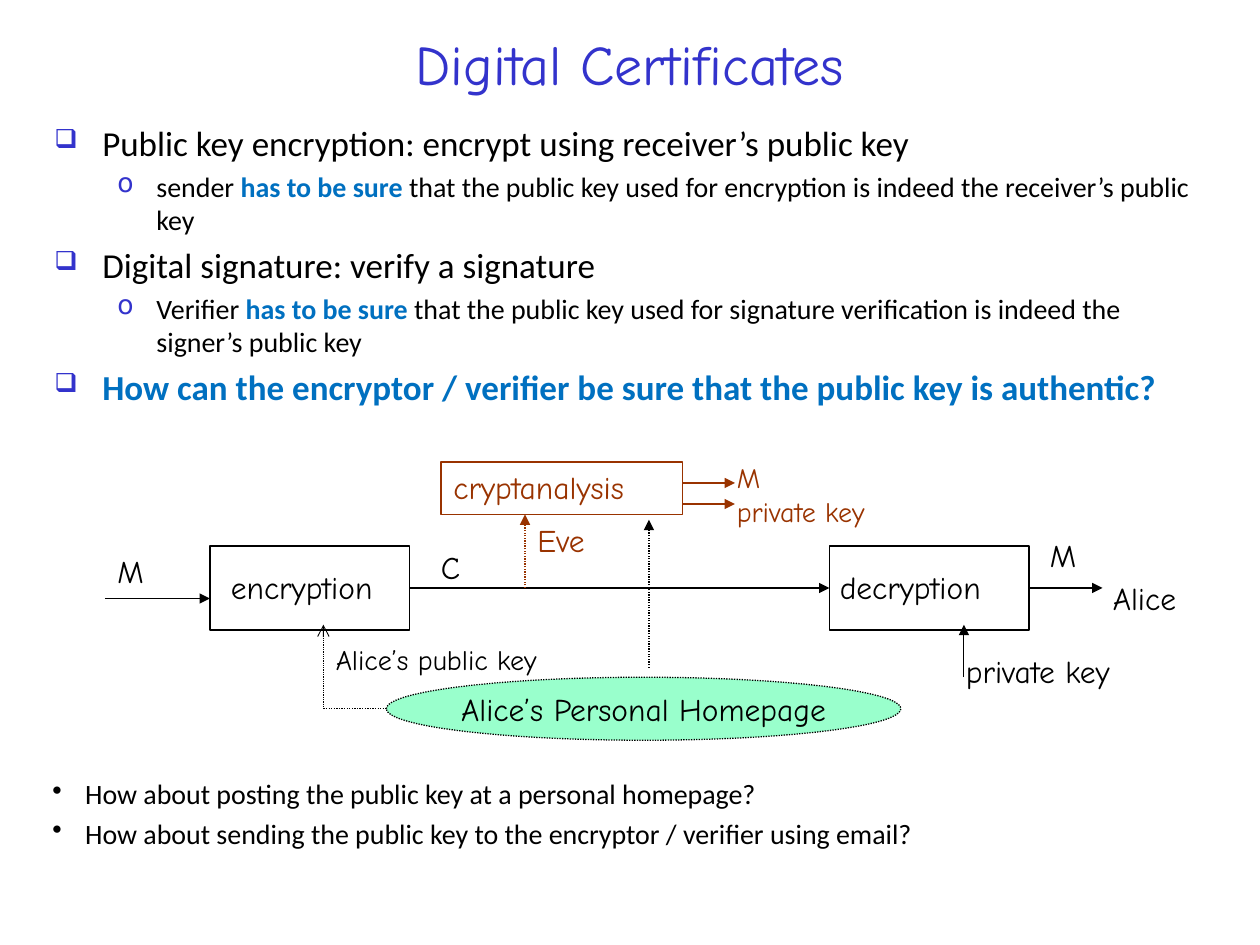
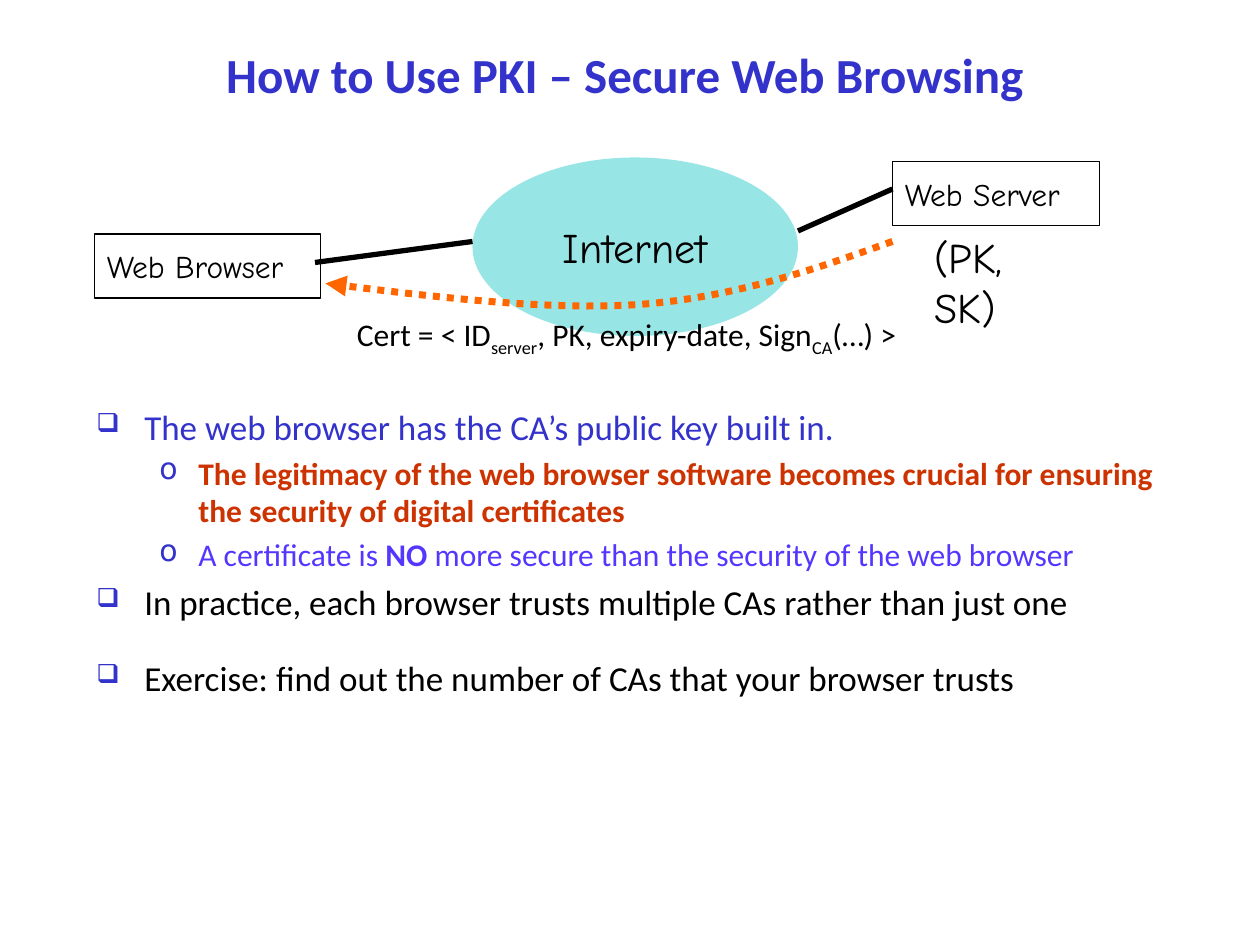
from dataclasses import dataclass
from typing import Any

from lxml.etree import SubElement
from pptx import Presentation
from pptx.dml.color import RGBColor as RGB
from pptx.enum.dml import MSO_LINE as Dash
from pptx.enum.shapes import MSO_CONNECTOR as Conn, MSO_SHAPE as Shape
from pptx.enum.text import MSO_ANCHOR as Anchor, PP_ALIGN as Align
from pptx.oxml.ns import qn
from pptx.util import Inches, Pt

COLS, ROWS = 120, 90
CELL = Inches(10) / COLS

BLACK = RGB(0x00, 0x00, 0x00)
INDIGO = RGB(0x33, 0x33, 0xCC)
BLUE = RGB(0x00, 0x70, 0xC0)
VIOLET = RGB(0x54, 0x37, 0xFF)
RED = RGB(0xCC, 0x33, 0x00)
BROWN = RGB(0x99, 0x33, 0x00)
ORANGE = RGB(0xFF, 0x66, 0x00)
MINT = RGB(0x99, 0xFF, 0xCC)
TEAL = RGB(0x33, 0xCC, 0xCC)

BODY, HAND = "Calibri", "Comic Neue"
PAD = (0.1, 0.05)
LINE_TEXT_ROWS = 4.8

BULLETS = [
    {"char": "❑", "left": 0.38, "hang": 0.38, "color": INDIGO, "pct": 75},
    {"char": "o", "left": 0.81, "hang": 0.31, "color": INDIGO, "pct": 95},
]
DOT = {"char": "•", "left": 0.26, "hang": 0.26}


@dataclass
class Region:
    s: Any
    col: float
    row: float
    cols: float
    rows: float

    def point(self, x, y):
        return round((self.col + x) * CELL), round((self.row + y) * CELL)

    def box(self, x, y, w, h):
        return (*self.point(x, y), round(w * CELL), round(h * CELL))


def set_line(line, color, width, dash=None, tail=None):
    line.color.rgb = color
    line.width = Pt(width)
    if dash:
        line.dash_style = dash
    if tail:
        SubElement(line._get_or_add_ln(), qn("a:tailEnd"), type=tail)


def add_runs(p, runs, **base):
    for text, own in runs:
        fmt = {"name": BODY, "color": BLACK, **base, **own}
        r = p.add_run()
        r.text = text
        r.font.color.rgb = fmt.pop("color")
        if fmt.pop("sub", False):
            r._r.get_or_add_rPr().set("baseline", "-25000")
        fmt["size"] = Pt(fmt["size"])
        for key, value in fmt.items():
            setattr(r.font, key, value)


def set_bullet(p, char, left, hang, color=None, pct=None):
    pr = p._p.get_or_add_pPr()
    pr.set("marL", str(Inches(left)))
    pr.set("indent", str(-Inches(hang)))
    if color is not None:
        SubElement(SubElement(pr, qn("a:buClr")), qn("a:srgbClr"), val=str(color))
    if pct:
        SubElement(pr, qn("a:buSzPct"), val=str(pct * 1000))
    SubElement(pr, qn("a:buChar"), char=char)


def set_frame(tf, pad=PAD, anchor=Anchor.TOP, wrap=True):
    x, y = (Inches(v) for v in pad)
    frame = {"margin_left": x, "margin_right": x, "margin_top": y,
             "margin_bottom": y, "vertical_anchor": anchor, "word_wrap": wrap}
    for key, value in frame.items():
        setattr(tf, key, value)


def next_paragraph(tf, index):
    return tf.add_paragraph() if index else tf.paragraphs[0]


def label(region, text, x, y, w, h=LINE_TEXT_ROWS, pad=PAD, **fmt):
    tf = region.s.shapes.add_textbox(*region.box(x, y, w, h)).text_frame
    set_frame(tf, pad)
    for i, line in enumerate(text.split("\n")):
        add_runs(next_paragraph(tf, i), [(line, {})], **{"name": HAND, "size": 18, **fmt})


def node(region, kind, x, y, w, h, text="", fill=None, line=BLACK, dash=None,
         align=Align.CENTER, pad=PAD, size=18):
    sp = region.s.shapes.add_shape(kind, *region.box(x, y, w, h))
    sp.shadow.inherit = False
    if fill is None:
        sp.fill.background()
    else:
        sp.fill.solid()
        sp.fill.fore_color.rgb = fill
    if line is None:
        sp.line.fill.background()
    else:
        set_line(sp.line, line, 0.75, dash)
    if text:
        set_frame(sp.text_frame, pad, Anchor.MIDDLE, kind == Shape.RECTANGLE)
        p = sp.text_frame.paragraphs[0]
        p.alignment = align
        add_runs(p, [(text, {})], name=HAND, size=size)
    return sp


def link(region, start, end, color=BLACK, width=0.75, dash=None, tail="triangle"):
    c = region.s.shapes.add_connector(
        Conn.STRAIGHT, *region.point(*start), *region.point(*end))
    set_line(c.line, color, width, dash, tail)
    SubElement(c._element.spPr, qn("a:effectLst"))


def title(region, text, **fmt):
    tf = region.s.shapes.add_textbox(*region.box(0, 0, region.cols, region.rows)).text_frame
    set_frame(tf, anchor=Anchor.MIDDLE)
    p = tf.paragraphs[0]
    p.alignment = Align.CENTER
    add_runs(p, [(text, {})], color=INDIGO, **fmt)


def outline(region, items):
    tf = region.s.shapes.add_textbox(*region.box(0, 0, region.cols, region.rows)).text_frame
    set_frame(tf)
    for i, (level, size, runs, *gap) in enumerate(items):
        p = next_paragraph(tf, i)
        p.space_before = Pt(gap[0] if gap else size * 0.2)
        set_bullet(p, **BULLETS[level])
        add_runs(p, runs, size=size)


def questions(region, lines):
    tf = region.s.shapes.add_textbox(*region.box(0, 0, region.cols, region.rows)).text_frame
    set_frame(tf, (0, 0))
    for i, line in enumerate(lines):
        p = next_paragraph(tf, i)
        p.space_before = Pt(3.2 if i else 0)
        set_bullet(p, **DOT)
        add_runs(p, [(line, {})], size=16)


def cipher_diagram(region):
    for x in (10, 69):
        node(region, Shape.RECTANGLE, x, 8, 19, 8)
    node(region, Shape.RECTANGLE, 32, 0, 23, 5, line=BROWN)
    node(region, Shape.OVAL, 26.8, 20.5, 49, 6, "Alice’s Personal Homepage",
         MINT, dash=Dash.ROUND_DOT)

    link(region, (0, 13), (10, 13))
    link(region, (29, 12), (69, 12), width=1)
    link(region, (88, 12), (95, 12))
    link(region, (81.8, 20.5), (81.8, 15.5), width=0.5)
    for y in (2, 4):
        link(region, (55, y), (60, y), BROWN)
    link(region, (40, 12), (40, 5), BROWN, dash=Dash.ROUND_DOT)
    link(region, (51.8, 19.6), (51.8, 5.5), dash=Dash.ROUND_DOT)
    link(region, (20.8, 23.5), (26.8, 23.5), dash=Dash.ROUND_DOT, tail=None)
    link(region, (20.8, 23.5), (20.8, 15.5), width=0.5, dash=Dash.ROUND_DOT, tail="arrow")

    for text, x, y, w in [
        ("encryption", 10.8, 9.5, 17.2), ("decryption", 68.8, 9.5, 17.4),
        ("M", 0, 8, 5.4), ("C", 30.8, 7.6, 5), ("M", 88.8, 6.5, 5.4),
        ("Alice", 94.8, 10.6, 9.5), ("private key", 80.8, 17.5, 18.1),
    ]:
        label(region, text, x, y, w)
    label(region, "Alice’s public key", 20.8, 16.6, 23.6, 4.4, size=16)
    label(region, "cryptanalysis", 32, 0, 20.8, color=BROWN)
    label(region, "Eve", 40, 5, 7.6, color=BROWN)
    label(region, "M\nprivate key", 59, -0.7, 16.3, 7.7, size=16, color=BROWN)


def bezier(a, b, c, d, steps=16):
    for i in range(1, steps + 1):
        t = i / steps
        u = 1 - t
        yield tuple(u**3 * e + 3 * u * u * t * f + 3 * u * t * t * g + t**3 * h
                    for e, f, g, h in zip(a, b, c, d))


def certificate_arrow(region):
    start, middle, end = (76, 8), (52, 14), (22, 12)
    points = [*bezier(start, (68.5, 10.7), (61, 13.3), middle),
              *bezier(middle, (43, 14.6), (32.5, 13.3), end)]
    fb = region.s.shapes.build_freeform(*region.point(*start))
    fb.add_line_segments([region.point(*xy) for xy in points], close=False)
    sp = fb.convert_to_shape()
    sp.shadow.inherit = False
    sp.fill.background()
    set_line(sp.line, ORANGE, 4, Dash.ROUND_DOT, "triangle")


def browsing_diagram(region):
    for text, x, y, w in [("Web Browser", 0, 7.3, 21.5), ("Web Server", 76, 0.4, 19.7)]:
        node(region, Shape.RECTANGLE, x, y, w, 6.1, text, align=Align.LEFT, pad=(0.1, 0.1))
    cloud = node(region, Shape.OVAL, 36, 0, 31, 17, "Internet", TEAL, None,
                 pad=(0, 0), size=24)
    color = cloud._element.spPr.find(qn("a:solidFill"))[0]
    SubElement(color, qn("a:alpha"), val="50000")
    link(region, (21, 10), (36, 8), width=3, tail=None)
    link(region, (67, 7), (76, 3), width=3, tail=None)
    label(region, "(PK, SK)", 80, 7, 12.5, 4, (0, 0), size=24)
    certificate_arrow(region)

    tf = region.s.shapes.add_textbox(*region.box(25, 15, 52.8, 3.6)).text_frame
    set_frame(tf, (0, 0))
    sub = {"sub": True}
    add_runs(tf.paragraphs[0], [
        ("Cert = < ID", {}), ("server", sub), (", PK, expiry-date, Sign", {}),
        ("CA", sub), ("(…) >", {})], size=18)


def certificates_slide(s):
    sure = ("has to be sure", {"color": BLUE, "bold": True})
    title(Region(s, 9, 2, 102, 8), "Digital Certificates", name=HAND, size=32)
    outline(Region(s, 4, 11, 112, 31), [
        (0, 20, [("Public key encryption: encrypt using receiver’s public key", {})]),
        (1, 16, [("sender ", {}), sure,
                 (" that the public key used for encryption is indeed the receiver’s public key", {})]),
        (0, 20, [("Digital signature: verify a signature", {})]),
        (1, 16, [("Verifier ", {}), sure,
                 (" that the public key used for signature verification is indeed the signer’s public key", {})]),
        (0, 20, [("How can the encryptor / verifier be sure that the public key is authentic?",
                  {"color": BLUE, "bold": True})]),
    ])
    cipher_diagram(Region(s, 10, 44, 104, 27))
    questions(Region(s, 5, 74, 106, 7), [
        "How about posting the public key at a personal homepage?",
        "How about sending the public key to the encryptor / verifier using email?"])


def browsing_slide(s):
    violet = {"color": VIOLET}
    title(Region(s, 3, 3, 113, 8), "How to Use PKI – Secure Web Browsing", size=28, bold=True)
    outline(Region(s, 8, 38, 106, 33), [
        (0, 20, [("The web browser has the CA’s public key built in.", {"color": INDIGO})]),
        (1, 18, [("The legitimacy of the web browser software becomes crucial for ensuring "
                  "the security of digital certificates", {"color": RED, "bold": True})]),
        (1, 18, [("A certificate is ", violet), ("NO", {**violet, "bold": True}),
                 (" more secure than the security of the web browser", violet)]),
        (0, 20, [("In practice, each browser trusts multiple CAs rather than just one", {})]),
        (0, 20, [("Exercise: find out the number of CAs that your browser trusts", {})], 19.6),
    ])
    browsing_diagram(Region(s, 9, 15, 96, 19))


def main():
    prs = Presentation()
    prs.slide_width, prs.slide_height = round(COLS * CELL), round(ROWS * CELL)
    for build in (certificates_slide, browsing_slide):
        build(prs.slides.add_slide(prs.slide_layouts[6]))
    prs.save("out.pptx")


if __name__ == "__main__":
    main()
